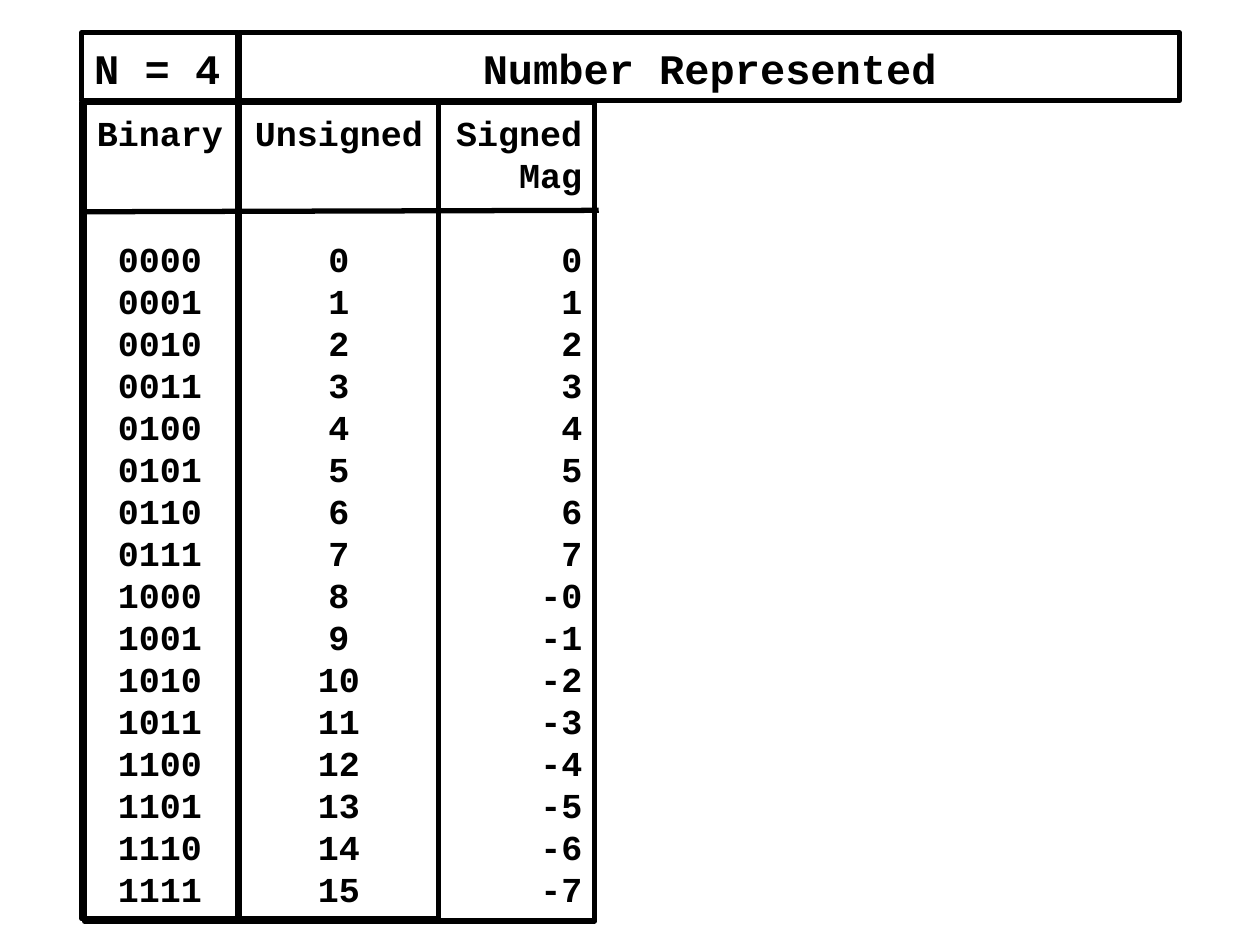
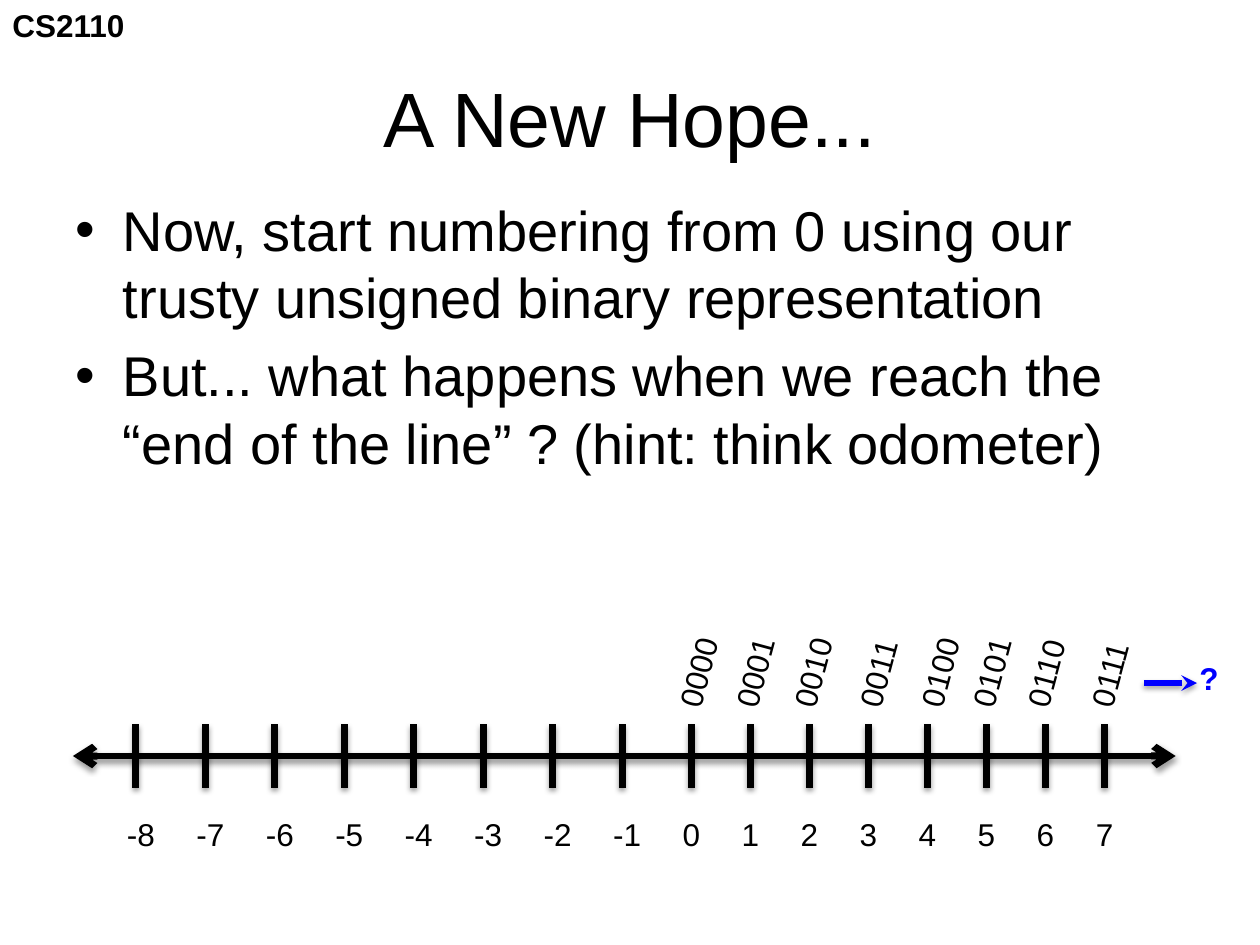
import pptx
import pptx.dml.color
import pptx.enum.shapes
import pptx.enum.text
import pptx.oxml
import pptx.oxml.ns
import pptx.util
from pptx.util import Cm, Pt

COLORS = {"ink": "000000", "hint": "0000FF"}
SANS, MONO = "Arial", "Courier New"
LINE_HEIGHT = 1.2  # line pitch relative to the text size

ALIGN = pptx.enum.text.PP_ALIGN
ANCHOR = pptx.enum.text.MSO_ANCHOR
AUTO_SIZE = pptx.enum.text.MSO_AUTO_SIZE
qn = pptx.oxml.ns.qn

SHADOW = (
    '<a:outerShdw blurRad="39370" dist="20320" dir="5400000" rotWithShape="0">'
    '<a:srgbClr val="000000"><a:alpha val="38000"/></a:srgbClr></a:outerShdw>'
)


def rgb(name):
    return pptx.dml.color.RGBColor.from_string(COLORS[name])


def add_xml(parent, tag, attributes="", inner=""):
    """Append one DrawingML element to parent."""
    namespace = pptx.oxml.ns.nsdecls("a")
    parent.append(pptx.oxml.parse_xml(
        f"<a:{tag} {namespace} {attributes}>{inner}</a:{tag}>"))


def write_lines(frame, lines, size, font=SANS, bold=False, color="ink",
                align=ALIGN.LEFT, gaps=None):
    """Write one paragraph per line; gaps maps a line index to its space before."""
    gaps = gaps or {}
    for index, line in enumerate(lines):
        paragraph = frame.paragraphs[0] if index == 0 else frame.add_paragraph()
        paragraph.alignment = align
        paragraph.line_spacing = Pt(LINE_HEIGHT * size)
        paragraph.space_before = Pt(gaps.get(index, 0))
        run = paragraph.add_run()
        run.text = line
        run.font.name = font
        run.font.size = Pt(size)
        run.font.bold = bold
        run.font.color.rgb = rgb(color)


def add_label(shapes, text, left, top, width, **style):
    """Add a single-line 18 pt label."""
    box = shapes.add_textbox(Cm(left), Cm(top), Cm(width), Cm(1.02))
    box.text_frame.word_wrap = False
    box.text_frame.auto_size = AUTO_SIZE.SHAPE_TO_FIT_TEXT
    write_lines(box.text_frame, [text], 18, **style)
    return box


def add_frame(slide, left, top, width, height, lines, size, align,
              anchor=ANCHOR.TOP, gaps=None):
    """Add an outlined, unfilled box of bold monospaced text."""
    shape = slide.shapes.add_shape(
        pptx.enum.shapes.MSO_SHAPE.RECTANGLE,
        Cm(left), Cm(top), Cm(width), Cm(height))
    shape.shadow.inherit = False
    shape.fill.background()
    shape.line.color.rgb = rgb("ink")
    shape.line.width = Pt(3)
    frame = shape.text_frame
    frame.word_wrap = align == ALIGN.RIGHT
    frame.vertical_anchor = anchor
    frame.margin_top = Cm(0.18)
    write_lines(frame, lines, size, MONO, True, align=align, gaps=gaps)


def add_line(shapes, start, end, width, color="ink", head=None, tail=None,
             shadow=True):
    """Add a straight line between two points given in centimetres."""
    connector = shapes.add_connector(
        pptx.enum.shapes.MSO_CONNECTOR.STRAIGHT,
        Cm(start[0]), Cm(start[1]), Cm(end[0]), Cm(end[1]))
    connector.line.color.rgb = rgb(color)
    connector.line.width = Pt(width)
    properties = connector.element.spPr
    outline = properties.find(qn("a:ln"))
    for tag, kind in (("headEnd", head), ("tailEnd", tail)):
        if kind:
            add_xml(outline, tag, f'type="{kind}"')
    add_xml(properties, "effectLst", inner=SHADOW if shadow else "")


def place(placeholder, left, top, width, height, anchor):
    placeholder.left, placeholder.top = Cm(left), Cm(top)
    placeholder.width, placeholder.height = Cm(width), Cm(height)
    frame = placeholder.text_frame
    frame.word_wrap = True
    frame.auto_size = AUTO_SIZE.NONE
    frame.vertical_anchor = anchor
    return frame


def add_course_mark(slide):
    """Put the course code on the layout, so every slide using it shows it."""
    mark = add_label(slide.shapes, "CS2110", 0, 0, 2.79, bold=True)
    slide.slide_layout.shapes.element.append(mark.element)


def add_tick(slide, value, x):
    """Add a grouped tick mark and its number."""
    group = slide.shapes.add_group_shape()
    add_line(group.shapes, (x, 14.6), (x, 15.88), 4)
    add_label(group.shapes, str(value), x - 0.43, 16.31, 1.09 if value < 0 else 0.86)


def build_representation_slide(presentation):
    slide = presentation.slides.add_slide(presentation.slide_layouts[6])
    binary = [f"{number:04b}" for number in range(16)]
    unsigned = [str(number) for number in range(16)]
    signed = [sign + str(number) for sign in ("", "-") for number in range(8)]

    # Columns
    add_frame(slide, 4.83, 2.06, 4.01, 16.46, ["Unsigned"] + unsigned, 20,
              ALIGN.CENTER, gaps={1: 48})
    add_frame(slide, 1.65, 2.06, 3.15, 16.46, ["Binary"] + binary, 20,
              ALIGN.CENTER, gaps={1: 48})
    add_frame(slide, 1.7, 2.06, 10.29, 16.51, ["Signed", "Mag"] + signed, 20,
              ALIGN.RIGHT, gaps={2: 24})
    add_line(slide.shapes, (1.65, 4.27), (12.07, 4.24), 3, shadow=False)

    # Heading row
    add_frame(slide, 1.65, 0.66, 3.15, 1.37, ["N = 4"], 24, ALIGN.LEFT,
              ANCHOR.MIDDLE)
    add_frame(slide, 4.83, 0.66, 18.95, 1.37, ["Number Represented"], 24,
              ALIGN.CENTER, ANCHOR.MIDDLE)


def build_number_line_slide(presentation):
    slide = presentation.slides.add_slide(presentation.slide_layouts[1])
    add_course_mark(slide)

    # Title and bullets
    title = place(slide.shapes.title, 1.27, 0.76, 22.86, 3.18, ANCHOR.MIDDLE)
    write_lines(title, ["A New Hope..."], 44, align=ALIGN.CENTER)
    body = place(slide.placeholders[1], 1.27, 3.81, 22.86, 6.99, ANCHOR.TOP)
    write_lines(body, [
        "Now, start numbering from 0 using our trusty unsigned binary representation",
        "But... what happens when we reach the “end of the line” ? "
        "(hint: think odometer)",
    ], 32, gaps={1: 6.4})

    # Number line
    add_line(slide.shapes, (1.47, 15.24), (23.7, 15.24), 4,
             head="arrow", tail="arrow")
    zero_x, negative_step, positive_step = 13.94, 1.4, 1.19
    for value in range(-8, 8):
        step = negative_step if value < 0 else positive_step
        add_tick(slide, value, zero_x + value * step)

    # Slanted binary codes
    code_lefts = [13.11, 14.25, 15.42, 16.74, 17.98, 19.02, 20.12, 21.41]
    for number, left in enumerate(code_lefts):
        code = add_label(slide.shapes, f"{number:04b}", left, 13.04, 1.92)
        code.rotation = 285

    # What comes next
    add_line(slide.shapes, (23.06, 13.77), (24.13, 13.77), 3, "hint",
             tail="stealth")
    add_label(slide.shapes, "?", 23.93, 13.16, 0.91, bold=True, color="hint")


def main():
    presentation = pptx.Presentation()
    presentation.slide_width, presentation.slide_height = Cm(25.4), Cm(19.05)
    build_representation_slide(presentation)
    build_number_line_slide(presentation)
    presentation.save("out.pptx")


if __name__ == "__main__":
    main()
